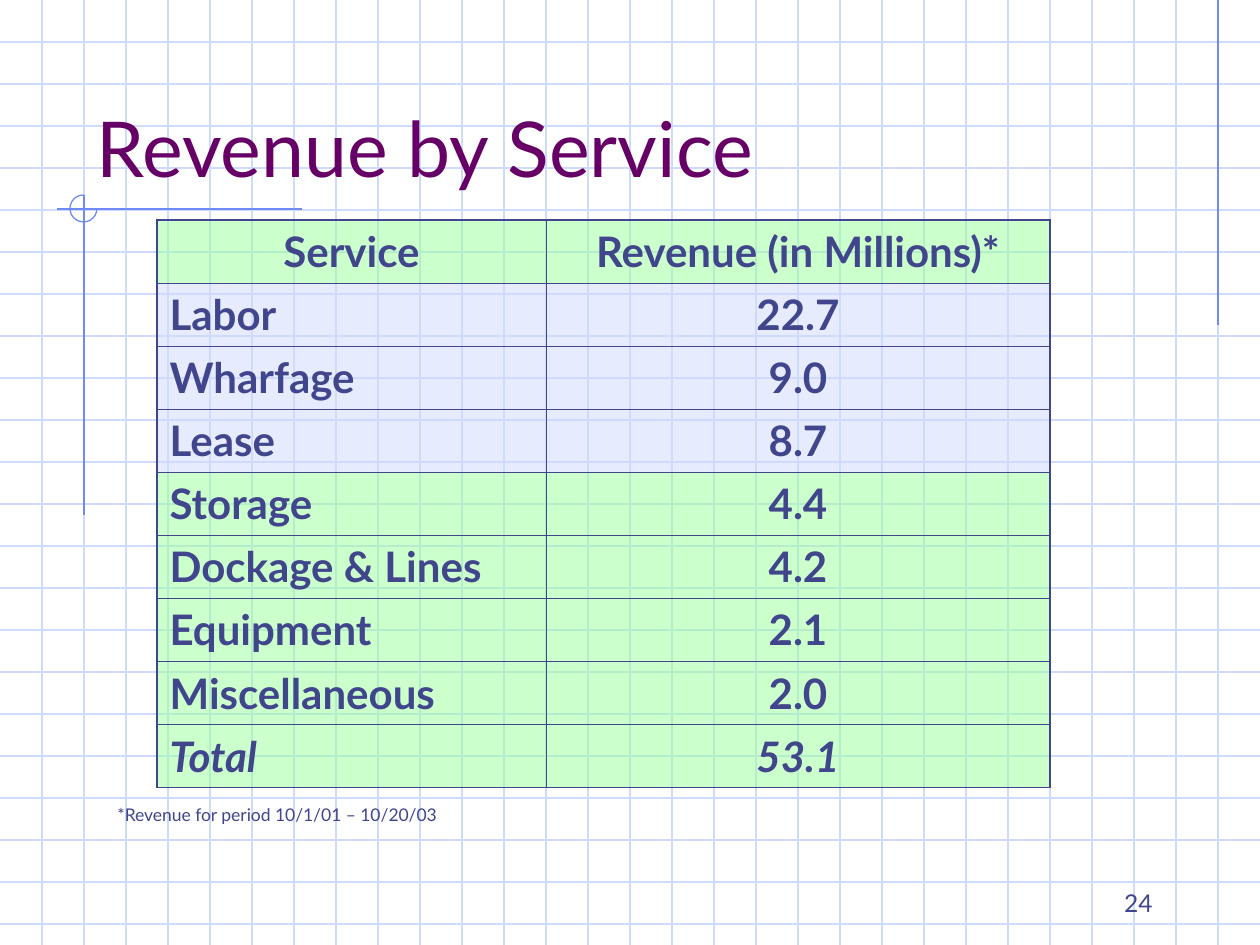
import pptx
import pptx.dml.color
import pptx.enum.shapes
import pptx.enum.text
import pptx.oxml
import pptx.oxml.ns
import pptx.util

RGBColor = pptx.dml.color.RGBColor
ALIGN = pptx.enum.text.PP_ALIGN
ANCHOR = pptx.enum.text.MSO_ANCHOR
SHAPE = pptx.enum.shapes.MSO_SHAPE
CONNECTOR = pptx.enum.shapes.MSO_CONNECTOR

GRID = RGBColor(0xCF, 0xDB, 0xFD)
ACCENT = RGBColor(0x6F, 0x89, 0xF7)
PURPLE = RGBColor(0x66, 0x00, 0x66)
INK = RGBColor(0x40, 0x45, 0x8C)
GREEN = RGBColor(0x99, 0xFF, 0x99)
WIDTH, HEIGHT, STEP = 1260, 945, 42

ROWS = [
    ("Service", "Revenue (in Millions)*"),
    ("Labor", "22.7"),
    ("Wharfage", "9.0"),
    ("Lease", "8.7"),
    ("Storage", "4.4"),
    ("Dockage & Lines", "4.2"),
    ("Equipment", "2.1"),
    ("Miscellaneous", "2.0"),
    ("Total", "53.1"),
]
BLUE_ROWS = range(1, 4)


def emu(px):
    return round(px * 914400 / 126)


def write(frame, text, size, color=INK, font="Lato", bold=False, italic=False,
          align=ALIGN.LEFT, before=0):
    para = frame.paragraphs[0]
    para.alignment = align
    para.space_before = pptx.util.Pt(before)
    span = para.add_run()
    span.text = text
    span.font.name = font
    span.font.size = pptx.util.Pt(size)
    span.font.bold = bold
    span.font.italic = italic
    span.font.color.rgb = color


class SlideBuilder:
    line_width = 0.75
    inner_border = 0.45
    outer_border = 1.08

    def __init__(self, page):
        self.page = page

    def line(self, x1, y1, x2, y2, color):
        connector = self.page.shapes.add_connector(
            CONNECTOR.STRAIGHT, emu(x1), emu(y1), emu(x2), emu(y2))
        connector.line.color.rgb = color
        connector.line.width = pptx.util.Pt(self.line_width)
        properties = connector.element.spPr
        properties.append(pptx.oxml.parse_xml(
            f'<a:effectLst {pptx.oxml.ns.nsdecls("a")}/>'))

    def arc(self, left, top, size, color):
        arc = self.page.shapes.add_shape(
            SHAPE.ARC, emu(left), emu(top), emu(size), emu(size))
        arc.adjustments[0] = 0
        arc.adjustments[1] = 162
        arc.shadow.inherit = False
        arc.fill.background()
        arc.line.color.rgb = color
        arc.line.width = pptx.util.Pt(self.line_width)

    def title(self, left, top, width, height, text):
        title = self.page.shapes.title
        title.left, title.top = emu(left), emu(top)
        title.width, title.height = emu(width), emu(height)
        title.text_frame.vertical_anchor = ANCHOR.BOTTOM
        write(title.text_frame, text, 44, color=PURPLE)
        title.element.getparent().append(title.element)

    def text(self, left, top, width, height, text, size, anchor=ANCHOR.TOP, **style):
        box = self.page.shapes.add_textbox(
            emu(left), emu(top), emu(width), emu(height))
        box.text_frame.word_wrap = True
        box.text_frame.vertical_anchor = anchor
        write(box.text_frame, text, size, **style)

    def cell_style(self, cell, fill, borders):
        cell.fill.solid()
        cell.fill.fore_color.rgb = fill
        names = pptx.oxml.ns.nsdecls("a")
        properties = cell._tc.get_or_add_tcPr()
        properties.find(".//" + pptx.oxml.ns.qn("a:srgbClr")).append(
            pptx.oxml.parse_xml(f'<a:alpha {names} val="50000"/>'))
        for index, (side, outer) in enumerate(zip("LRTB", borders)):
            width = pptx.util.Pt(self.outer_border if outer else self.inner_border)
            properties.insert(index, pptx.oxml.parse_xml(
                f'<a:ln{side} {names} w="{width}"><a:solidFill>'
                f'<a:srgbClr val="{INK}"/></a:solidFill></a:ln{side}>'))

    def table(self, left, top, widths, row_height, rows):
        table = self.page.shapes.add_table(
            len(rows), len(widths), emu(left), emu(top),
            emu(sum(widths)), emu(row_height * len(rows))).table
        table.first_row = table.horz_banding = False
        for column, width in zip(table.columns, widths):
            column.width = emu(width)
        last_row, last_column = len(rows) - 1, len(widths) - 1
        for r, values in enumerate(rows):
            for c, value in enumerate(values):
                cell = table.cell(r, c)
                centered = r == 0 or c > 0
                write(cell.text_frame, value, 24, bold=True, italic=r == last_row,
                      align=ALIGN.CENTER if centered else ALIGN.LEFT, before=6)
                self.cell_style(cell, GRID if r in BLUE_ROWS else GREEN,
                                (c == 0, c == last_column, r == 0, r == last_row))


def main():
    deck = pptx.Presentation()
    deck.slide_width, deck.slide_height = emu(WIDTH), emu(HEIGHT)
    builder = SlideBuilder(deck.slides.add_slide(deck.slide_layouts[5]))

    for y in range(STEP, HEIGHT, STEP):
        builder.line(0, y, WIDTH, y, GRID)
    for x in range(STEP, WIDTH, STEP):
        builder.line(x, 0, x, HEIGHT, GRID)
    builder.line(1218, 0, 1218, 325, ACCENT)
    builder.line(302, 209, 57, 209, ACCENT)
    builder.line(84, 195, 84, 515, ACCENT)
    builder.arc(70, 195, 27, ACCENT)

    builder.title(84, 42, 1071, 157, "Revenue by Service")
    builder.table(157, 220, [389, 504], 63, ROWS)
    builder.text(105, 798, 1029, 34, "*Revenue for period 10/1/01 – 10/20/03", 10,
                 before=6)
    builder.text(903, 861, 262, 63, "24", 14, anchor=ANCHOR.BOTTOM, align=ALIGN.RIGHT)
    deck.save("out.pptx")


if __name__ == "__main__":
    main()
